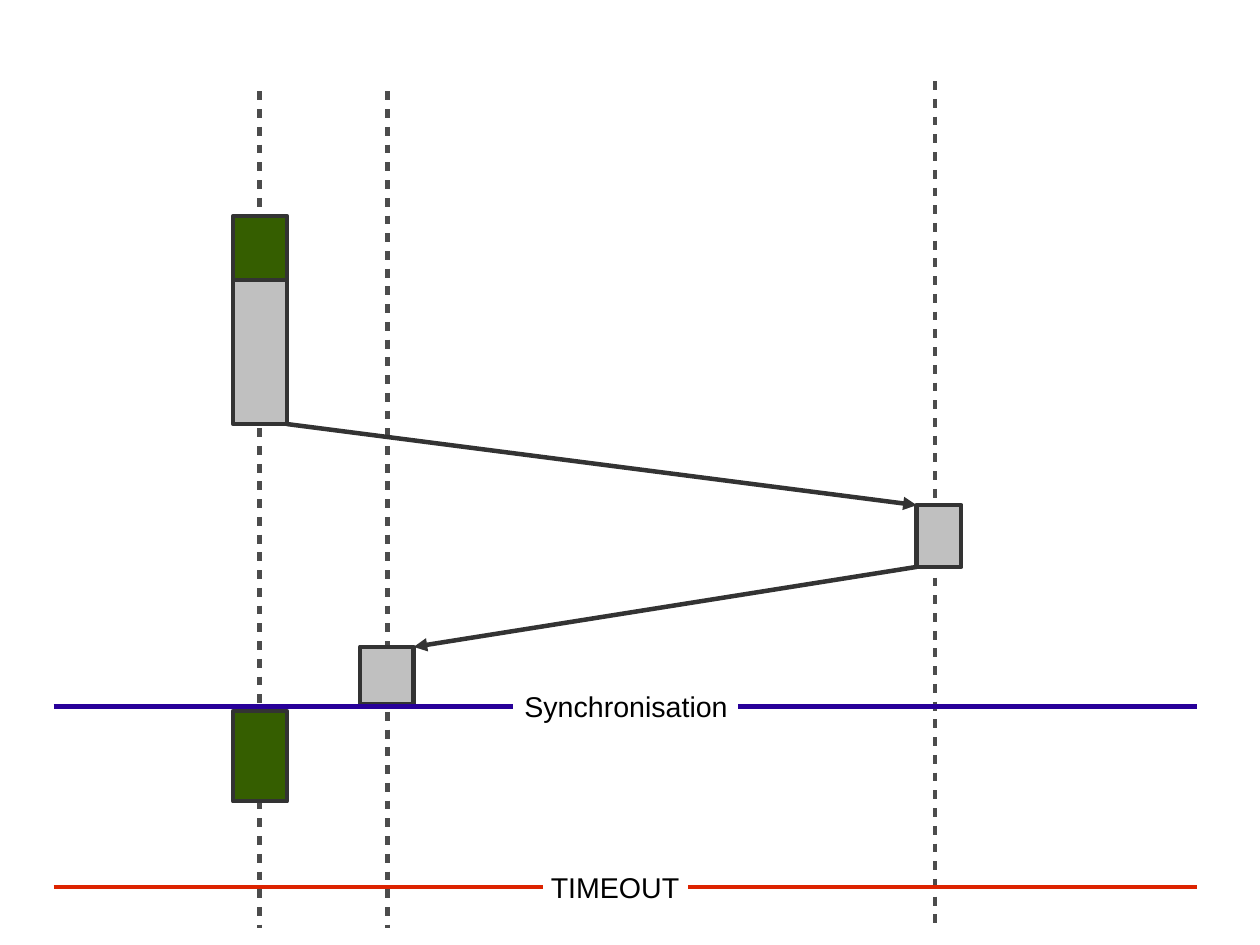
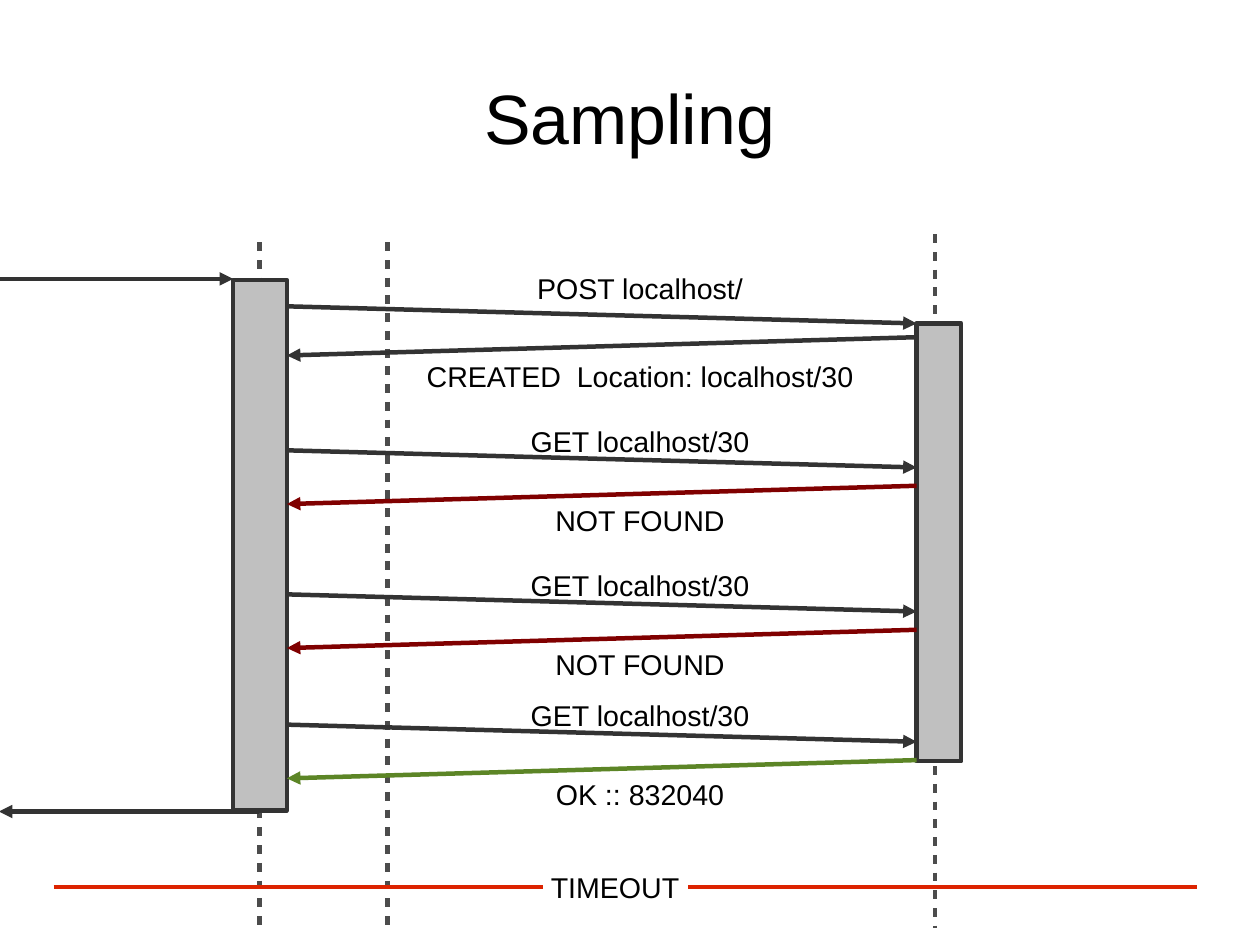
import pptx
import pptx.util
import pptx.dml.color
import pptx.enum.shapes
import pptx.enum.text
import pptx.oxml.ns
from lxml import etree

Inches = pptx.util.Inches
Pt = pptx.util.Pt
PP_ALIGN = pptx.enum.text.PP_ALIGN
MSO_ANCHOR = pptx.enum.text.MSO_ANCHOR
MSO_AUTO_SIZE = pptx.enum.text.MSO_AUTO_SIZE

# Shared look
INK, LIFELINE, WAITING, WORKING = "333333", "4C4C4C", "C0C0C0", "355E00"
SYNC, TIMEOUT, FAILED, DONE = "280099", "DC2300", "800000", "5C8526"
FONT, STROKE = "Arial", 2.83
LABEL_HEIGHT = 0.38

# Shared geometry: a 28 by 21 cm page, lifelines and the bars standing on them
CM_PER_INCH = 2.54
PAGE_WIDTH, PAGE_HEIGHT = 28 / CM_PER_INCH, 21 / CM_PER_INCH
CALLER, WORKER, SERVER = 2.27, 3.39, 8.18
LIFELINE_END = 8.12
CALLER_BAR = (2.04, 0.47)
WORKER_BAR = (3.15, 0.47)
SERVER_BAR = (8.02, 0.39)
CALLER_EDGE, WORKER_EDGE, SERVER_EDGE = 2.51, 3.62, 8.02
RULE_LEFT, RULE_RIGHT = 0.47, 10.47

# Rule across the slide: label, colour, y, gap from, gap to, label left, top, width
SYNC_RULE = ("Synchronisation", SYNC, 6.18, 4.49, 6.46, 4.49, 5.98, 3.07)
TIMEOUT_RULE = ("TIMEOUT", TIMEOUT, 7.76, 4.75, 6.02, 4.72, 7.56, 1.42)

# Each diagram: lifelines (x, top), bars (column, top, height, fill),
# arrows (x1, y1, x2, y2, colour), rules
waiting_diagram = {
    "lifelines": [(CALLER, 0.8), (WORKER, 0.8), (SERVER, 0.71)],
    "bars": [
        (CALLER_BAR, 6.22, 0.79, WORKING),
        (CALLER_BAR, 1.89, 0.79, WORKING),
        (CALLER_BAR, 2.45, 1.26, WAITING),
        (SERVER_BAR, 4.42, 0.54, WAITING),
        (WORKER_BAR, 5.66, 0.5, WAITING),
    ],
    "arrows": [
        (CALLER_EDGE, 3.71, SERVER_EDGE, 4.42, INK),
        (SERVER_EDGE, 4.96, WORKER_EDGE, 5.66, INK),
    ],
    "rules": [SYNC_RULE, TIMEOUT_RULE],
}
sampling_diagram = {
    "lifelines": [(CALLER, 2.12), (WORKER, 2.12), (SERVER, 2.05)],
    "bars": [
        (CALLER_BAR, 2.45, 4.64, WAITING),
        (SERVER_BAR, 2.83, 3.83, WAITING),
    ],
    "arrows": [
        (-0.32, 2.44, 2.04, 2.44, INK),
        (CALLER, 7.1, -0.01, 7.1, INK),
    ],
    "rules": [TIMEOUT_RULE],
}

# Messages of the sampling slide: text, label top, label width, arrow start y, colour
requests = [
    ("POST localhost/", 2.32, 2.0, 2.68, INK),
    ("GET localhost/30", 3.66, 2.11, 3.94, INK),
    ("GET localhost/30", 4.92, 2.11, 5.2, INK),
    ("GET localhost/30", 6.06, 2.11, 6.34, INK),
]
replies = [
    ("CREATED  Location: localhost/30", 3.09, 3.93, 2.95, INK),
    ("NOT FOUND", 4.35, 1.68, 4.25, FAILED),
    ("NOT FOUND", 5.61, 1.68, 5.51, FAILED),
    ("OK :: 832040", 6.75, 1.67, 6.65, DONE),
]
MESSAGE_CENTRE = 5.6
REQUEST_DROP, REPLY_DROP = 0.15, 0.16


def colour(value):
    return pptx.dml.color.RGBColor.from_string(value)


def apply(target, formats):
    for name, value in formats.items():
        setattr(target, name, value)


def add_xml(parent, tag, **attributes):
    return etree.SubElement(parent, pptx.oxml.ns.qn(tag), attributes)


def outline(shape, line_colour):
    shape.line.color.rgb = colour(line_colour)
    shape.line.width = Pt(STROKE)
    return shape.element.spPr.find(pptx.oxml.ns.qn("a:ln"))


def write(shape, text, size, align, frame_formats):
    frame = shape.text_frame
    apply(frame, frame_formats)
    paragraph = frame.paragraphs[0]
    paragraph.text = text
    paragraph.alignment = align
    apply(paragraph.font, {"name": FONT, "size": Pt(size)})
    paragraph.font.color.rgb = colour("000000")


def add_label(slide, text, left, top, width, align, wrap):
    box = slide.shapes.add_textbox(
        Inches(left), Inches(top), Inches(width), Inches(LABEL_HEIGHT))
    write(box, text, 18, align,
          {"word_wrap": wrap, "auto_size": MSO_AUTO_SIZE.SHAPE_TO_FIT_TEXT})


def add_stroke(slide, x1, y1, x2, y2, line_colour, dashed=False, arrow=False):
    stroke = slide.shapes.add_connector(
        pptx.enum.shapes.MSO_CONNECTOR.STRAIGHT,
        Inches(x1), Inches(y1), Inches(x2), Inches(y2))
    line = outline(stroke, line_colour)
    if dashed:
        add_xml(add_xml(line, "a:custDash"), "a:ds", d="197000", sp="197000")
    if arrow:
        add_xml(line, "a:tailEnd", type="triangle")
    add_xml(stroke.element.spPr, "a:effectLst")


def add_bar(slide, column, top, height, fill):
    left, width = column
    bar = slide.shapes.add_shape(
        pptx.enum.shapes.MSO_SHAPE.RECTANGLE,
        Inches(left), Inches(top), Inches(width), Inches(height))
    bar.shadow.inherit = False
    bar.fill.solid()
    bar.fill.fore_color.rgb = colour(fill)
    add_xml(outline(bar, INK), "a:round")


def add_rule(slide, text, rule_colour, y, gap_from, gap_to, left, top, width):
    add_label(slide, text, left, top, width, PP_ALIGN.LEFT, True)
    for start, end in ((RULE_LEFT, gap_from), (gap_to, RULE_RIGHT)):
        add_stroke(slide, start, y, end, y, rule_colour)


def add_diagram(slide, diagram):
    for x, top in diagram["lifelines"]:
        add_stroke(slide, x, top, x, LIFELINE_END, LIFELINE, dashed=True)
    for bar in diagram["bars"]:
        add_bar(slide, *bar)
    for arrow in diagram["arrows"]:
        add_stroke(slide, *arrow, arrow=True)
    for rule in diagram["rules"]:
        add_rule(slide, *rule)


def add_messages(slide, messages, start, end, drop):
    for text, top, width, y, arrow_colour in messages:
        add_stroke(slide, start, y, end, y + drop, arrow_colour, arrow=True)
        add_label(slide, text, MESSAGE_CENTRE - width / 2, top, width,
                  PP_ALIGN.CENTER, False)


def add_title(slide, text):
    title = slide.shapes.title
    apply(title, {"left": Inches(0.55), "top": Inches(0.33),
                  "width": Inches(9.92), "height": Inches(1.38)})
    write(title, text, 44, PP_ALIGN.CENTER, {
        "margin_left": 0, "margin_right": 0, "margin_top": 0, "margin_bottom": 0,
        "vertical_anchor": MSO_ANCHOR.MIDDLE, "word_wrap": True,
        "auto_size": MSO_AUTO_SIZE.NONE})


def main():
    deck = pptx.Presentation()
    deck.slide_width = Inches(PAGE_WIDTH)
    deck.slide_height = Inches(PAGE_HEIGHT)
    title_only, blank = deck.slide_layouts[5], deck.slide_layouts[6]

    # Waiting for synchronisation
    add_diagram(deck.slides.add_slide(blank), waiting_diagram)

    # Sampling
    sampling = deck.slides.add_slide(title_only)
    add_title(sampling, "Sampling")
    add_diagram(sampling, sampling_diagram)
    add_messages(sampling, requests, CALLER_EDGE, SERVER_EDGE, REQUEST_DROP)
    add_messages(sampling, replies, SERVER_EDGE, CALLER_EDGE, REPLY_DROP)

    deck.save("out.pptx")


if __name__ == "__main__":
    main()
